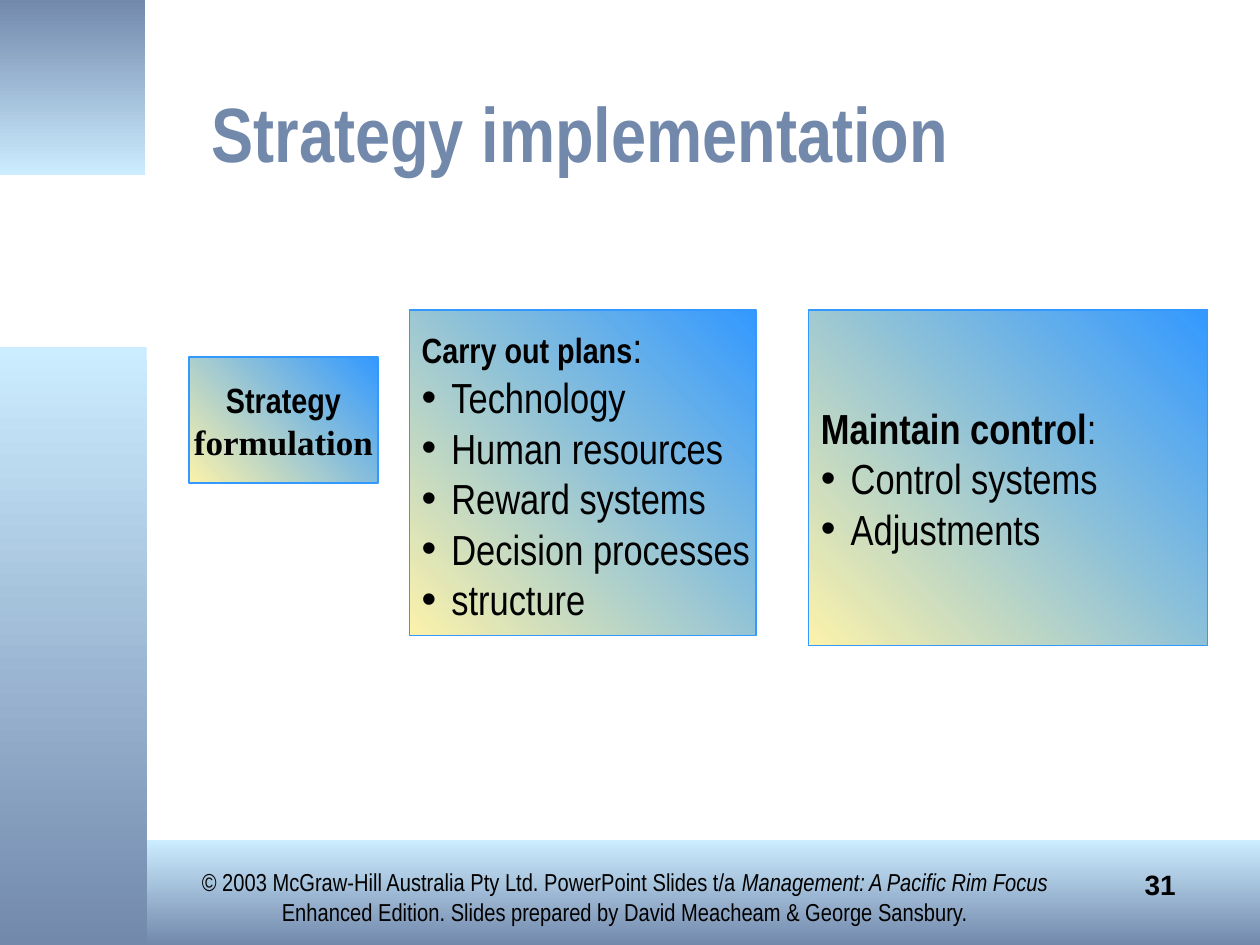
from dataclasses import dataclass

from lxml.etree import SubElement
from pptx import Presentation
from pptx.dml.color import RGBColor
from pptx.enum.shapes import MSO_SHAPE as Shape
from pptx.enum.text import MSO_ANCHOR as Anchor, PP_ALIGN as Align
from pptx.oxml.ns import qn
from pptx.util import Cm, Pt


@dataclass(frozen=True)
class Theme:
    slate: str = "7289AC"
    ice: str = "CCECFF"
    cream: str = "FCF2AA"
    blue: str = "3399FF"
    ink: str = "000000"
    narrow: str = "Arial Narrow"
    sans: str = "Arial"
    serif: str = "Times New Roman"
    title: int = 44
    item: int = 24
    label: int = 20
    number: int = 16
    footer: int = 14


THEME = Theme()
DOWN, UP_RIGHT = 270, 45  # gradient directions, counter-clockwise degrees


def add_gradient_box(page, place, start, end, angle):
    box = page.shapes.add_shape(Shape.RECTANGLE, *map(Cm, place))
    box.shadow.inherit = False
    box.fill.gradient()
    box.fill.gradient_angle = angle
    for stop, colour in zip(box.fill.gradient_stops, (start, end)):
        stop.color.rgb = RGBColor.from_string(colour)
    box.line.fill.background()
    return box


def add_band(page, place, start, end):
    add_gradient_box(page, place, start, end, DOWN)


def add_span(para, text, size, font=THEME.narrow, colour=THEME.ink,
             bold=False, italic=False):
    span = para.add_run()
    span.text = text
    span.font.size = Pt(size)
    span.font.name = font
    span.font.color.rgb = RGBColor.from_string(colour)
    span.font.bold = bold
    span.font.italic = italic


def add_text(page, place, align=Align.LEFT, anchor=Anchor.TOP):
    """Add a wrapping text box and return its first paragraph."""
    frame = page.shapes.add_textbox(*map(Cm, place)).text_frame
    frame.word_wrap = True
    frame.vertical_anchor = anchor
    para = frame.paragraphs[0]
    para.alignment = align
    return para


def add_step(page, place):
    """Add a framed step of the process and return its text frame."""
    box = add_gradient_box(page, place, THEME.cream, THEME.blue, UP_RIGHT)
    box.line.color.rgb = RGBColor.from_string(THEME.blue)
    box.line.width = Pt(0.75)
    frame = box.text_frame
    frame.word_wrap = True
    frame.vertical_anchor = Anchor.MIDDLE
    frame.margin_right = 0
    return frame


def add_bullet(para):
    props = para._p.get_or_add_pPr()
    indent = Cm(0.6)
    props.set("marL", str(indent))
    props.set("indent", str(-indent))
    SubElement(props, qn("a:buFont"), typeface=THEME.sans)
    SubElement(props, qn("a:buChar"), char="•")


def add_list_step(page, place, heading, heading_size, items):
    frame = add_step(page, place)
    para = frame.paragraphs[0]
    para.alignment = Align.LEFT
    add_span(para, heading, heading_size, bold=True)
    add_span(para, ":", THEME.item)
    for item in items:
        para = frame.add_paragraph()
        para.alignment = Align.LEFT
        add_bullet(para)
        add_span(para, item, THEME.item)


def add_formulation_step(page, place):
    frame = add_step(page, place)
    frame.margin_left = 0
    first, second = frame.paragraphs[0], frame.add_paragraph()
    first.alignment = second.alignment = Align.CENTER
    add_span(first, "Strategy", THEME.label, bold=True)
    add_span(second, "formulation", THEME.label, THEME.serif, bold=True)


def add_footer(page):
    para = add_text(page, (3.18, 17.36, 18.84, 1.27), Align.CENTER)
    add_span(para, "© 2003 McGraw-Hill Australia Pty Ltd. PowerPoint Slides t/a ",
             THEME.footer)
    add_span(para, "Management: A Pacific Rim Focus", THEME.footer, italic=True)
    add_span(para, " Enhanced Edition. Slides prepared by David Meacheam"
             " & George Sansbury.", THEME.footer)
    para = add_text(page, (22.44, 17.36, 1.9, 1.27), Align.CENTER)
    add_span(para, "31", THEME.number, THEME.sans, bold=True)


def main():
    deck = Presentation()
    deck.slide_width, deck.slide_height = Cm(25.4), Cm(19.05)
    page = deck.slides.add_slide(deck.slide_layouts[6])

    add_band(page, (0, 16.93, 25.4, 2.12), THEME.ice, THEME.slate)
    add_band(page, (0, 0, 2.92, 3.53), THEME.slate, THEME.ice)
    add_band(page, (0, 6.99, 2.96, 12.06), THEME.ice, THEME.slate)
    add_footer(page)

    title = add_text(page, (4.02, 1.06, 20.32, 3.18), anchor=Anchor.MIDDLE)
    add_span(title, "Strategy implementation", THEME.title,
             colour=THEME.slate, bold=True)

    add_formulation_step(page, (3.81, 7.2, 3.81, 2.54))
    add_list_step(page, (8.25, 6.25, 6.99, 6.56), "Carry out plans", THEME.label,
                  ("Technology", "Human resources", "Reward systems",
                   "Decision processes", "structure"))
    add_list_step(page, (16.3, 6.25, 8.04, 6.77), "Maintain control", THEME.item,
                  ("Control systems", "Adjustments"))

    deck.save("out.pptx")


if __name__ == "__main__":
    main()
